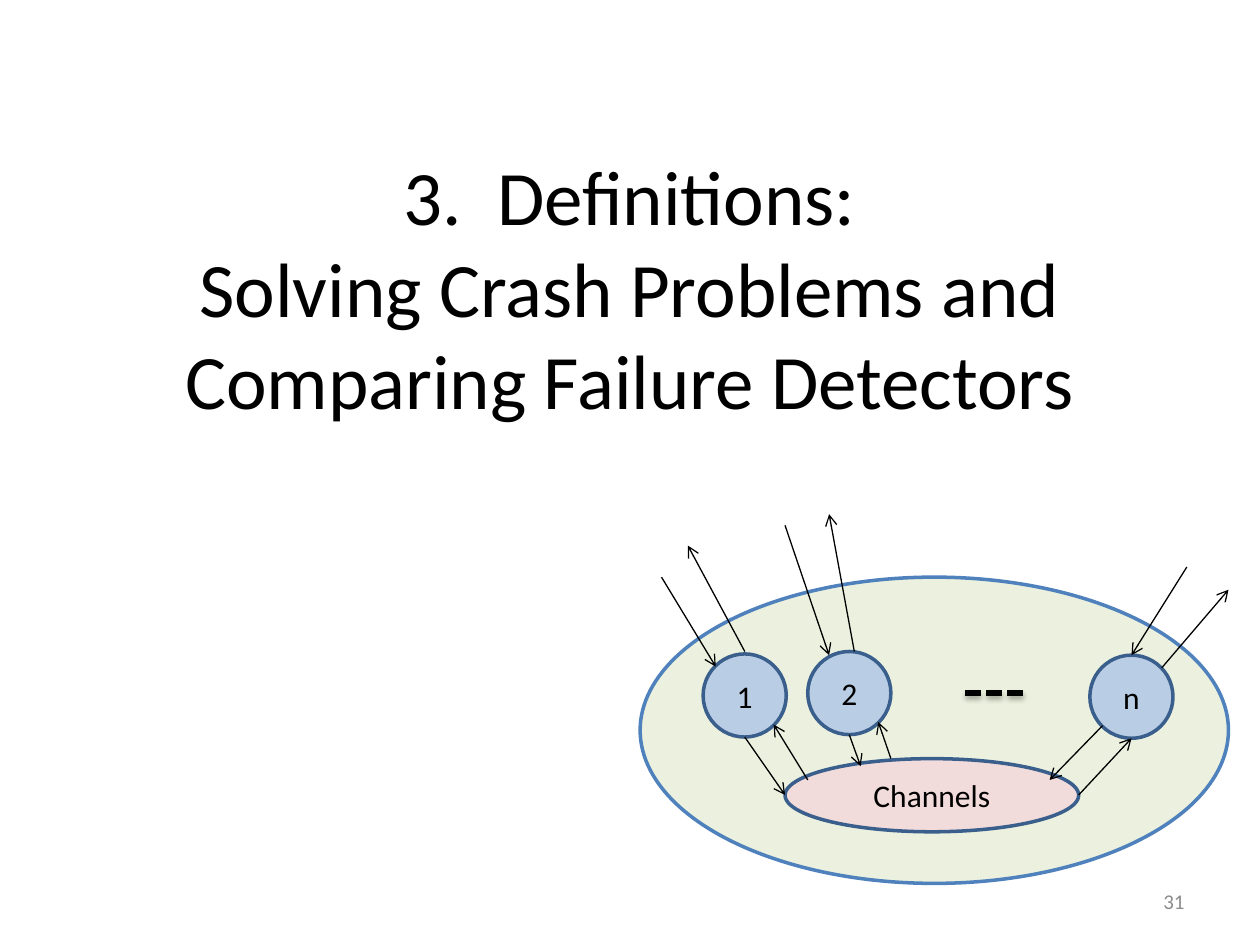
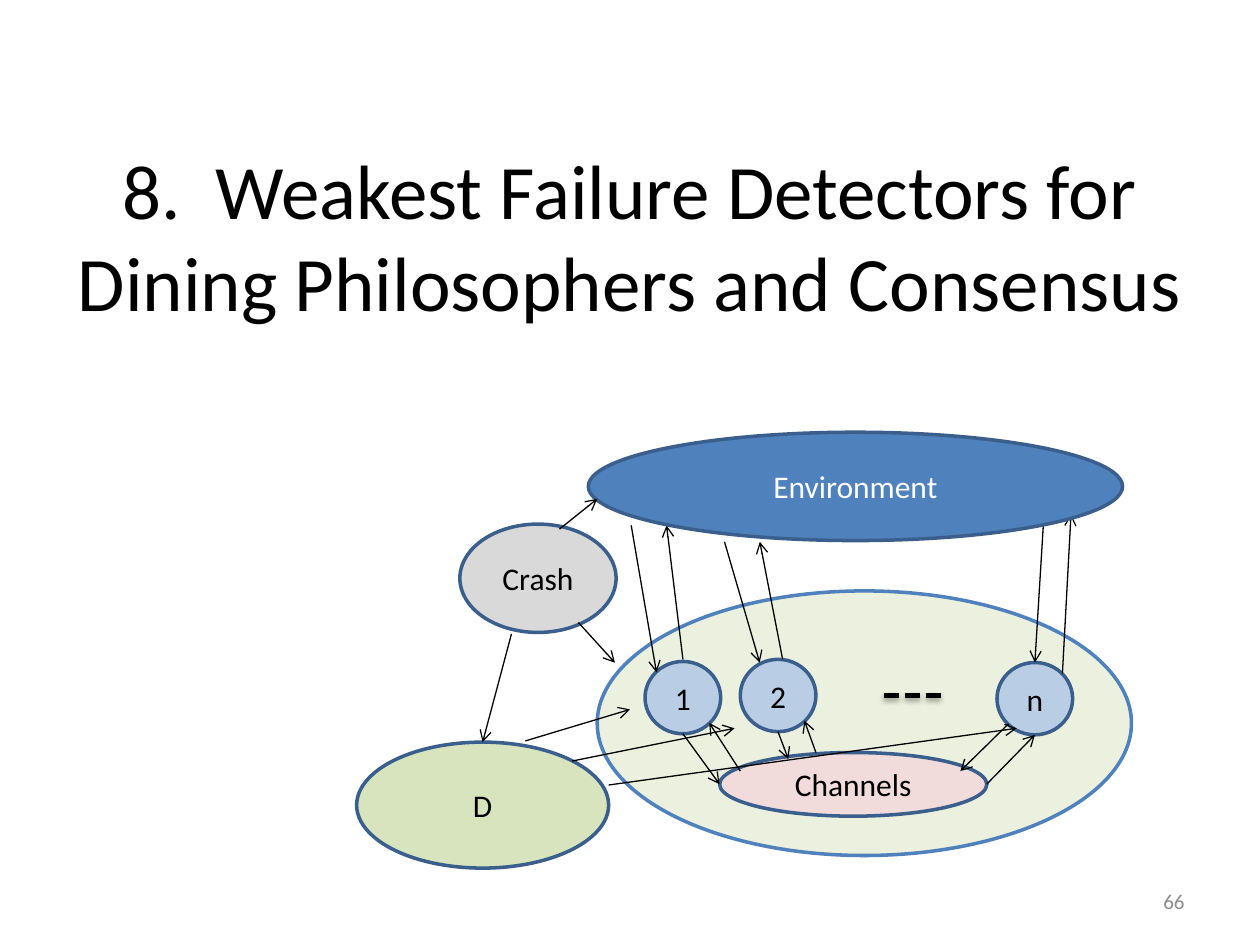
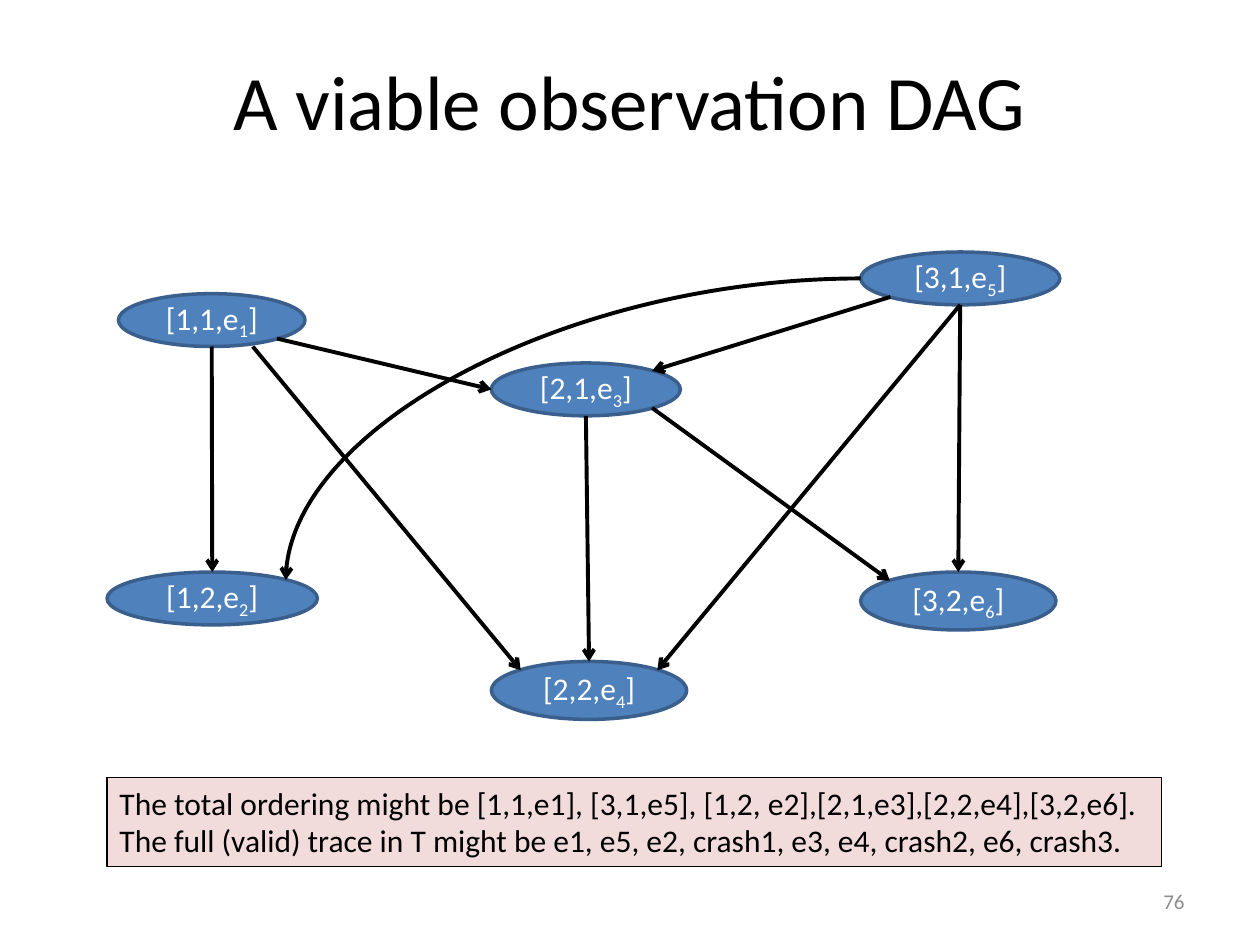
from typing import NamedTuple

from lxml import etree
from pptx import Presentation
from pptx.dml.color import RGBColor
from pptx.enum import dml, shapes, text
from pptx.oxml.ns import qn
from pptx.util import Pt

BLACK = RGBColor(0x00, 0x00, 0x00)
WHITE = RGBColor(0xFF, 0xFF, 0xFF)
GRAY = RGBColor(0x8C, 0x8C, 0x8C)
SILVER = RGBColor(0xD9, 0xD9, 0xD9)
BLUE = RGBColor(0x4F, 0x81, 0xBD)
NAVY = RGBColor(0x3A, 0x5F, 0x8C)
SKY = RGBColor(0xB9, 0xCD, 0xE5)
PINK = RGBColor(0xF2, 0xDC, 0xDB)
PALE = RGBColor(0xEB, 0xF1, 0xDE)
GREEN = RGBColor(0xD7, 0xE4, 0xBD)

FONT = "Calibri"
OVAL = shapes.MSO_SHAPE.OVAL
RECT = shapes.MSO_SHAPE.RECTANGLE
LEFT, CENTER, RIGHT = (text.PP_ALIGN.LEFT, text.PP_ALIGN.CENTER,
                       text.PP_ALIGN.RIGHT)
TOP, MIDDLE = text.MSO_ANCHOR.TOP, text.MSO_ANCHOR.MIDDLE
STRAIGHT = shapes.MSO_CONNECTOR.STRAIGHT
CURVE = shapes.MSO_CONNECTOR.CURVE


class Point(NamedTuple):
    x: float
    y: float


class Box(NamedTuple):
    x: float
    y: float
    w: float
    h: float


class Arrow(NamedTuple):
    start: Point
    end: Point


class Node(NamedTuple):
    label: str
    box: Box
    fill: RGBColor
    ink: RGBColor = BLACK


class Frame(NamedTuple):
    """Place and scale of a process system; node 1 is its origin."""
    x: float
    y: float
    sx: float = 1
    sy: float = 1

    def point(self, p: Point) -> Point:
        return Point(self.x + self.sx * p.x, self.y + self.sy * p.y)

    def box(self, b: Box) -> Box:
        return Box(*self.point(Point(b.x, b.y)), self.sx * b.w, self.sy * b.h)


def arrows(*rows: tuple[float, float, float, float]) -> list[Arrow]:
    return [Arrow(Point(a, b), Point(c, d)) for a, b, c, d in rows]


def points(*rows: tuple[float, float]) -> list[Point]:
    return [Point(*row) for row in rows]


def write(frame, words: str, *, size: float = 18, color: RGBColor = BLACK,
          align=CENTER, anchor=MIDDLE) -> None:
    """Newline starts a paragraph, | breaks a line, _ toggles subscript."""
    frame.word_wrap = True
    frame.vertical_anchor = anchor
    for i, line in enumerate(words.split("\n")):
        para = frame.paragraphs[0] if i == 0 else frame.add_paragraph()
        para.alignment = align
        for j, piece in enumerate(line.split("|")):
            if j:
                para.add_line_break()
            for k, part in enumerate(piece.split("_")):
                run = para.add_run()
                run.text = part
                run.font.name = FONT
                run.font.size = Pt(size)
                run.font.color.rgb = color
                if k % 2:
                    run.font._element.set("baseline", "-25000")


def label(slide, box: Box, words: str, **form) -> None:
    area = slide.shapes.add_textbox(*map(Pt, box))
    write(area.text_frame, words, **form)


def shape(slide, kind, box: Box, fill: RGBColor, line: RGBColor = NAVY,
          width: float = 2):
    item = slide.shapes.add_shape(kind, *map(Pt, box))
    item.shadow.inherit = False
    item.fill.solid()
    item.fill.fore_color.rgb = fill
    item.line.color.rgb = line
    item.line.width = Pt(width)
    return item


def oval(slide, node: Node) -> None:
    item = shape(slide, OVAL, node.box, node.fill)
    write(item.text_frame, node.label, color=node.ink)


def link(slide, start: Point, end: Point, width: float = 0.75,
         kind=STRAIGHT, head: bool = True):
    item = slide.shapes.add_connector(kind, *map(Pt, (*start, *end)))
    item.line.color.rgb = BLACK
    item.line.width = Pt(width)
    props = item._element.spPr
    if head:
        etree.SubElement(props.find(qn("a:ln")), qn("a:tailEnd"), type="arrow")
    if kind == CURVE:
        props.find(qn("a:prstGeom")).set("prst", "curvedConnector2")
    etree.SubElement(props, qn("a:effectLst"))
    return item


def dashes(slide, start: Point, end: Point) -> None:
    item = link(slide, start, end, 3, head=False)
    item.line.dash_style = dml.MSO_LINE.SQUARE_DOT
    glow = etree.SubElement(
        item._element.spPr.find(qn("a:effectLst")), qn("a:outerShdw"),
        blurRad=str(Pt(3.1)), dist=str(Pt(1.8)), dir="5400000",
        rotWithShape="0")
    shade = etree.SubElement(glow, qn("a:srgbClr"), val=str(BLACK))
    etree.SubElement(shade, qn("a:alpha"), val="35000")


def page(deck, title: str, box: Box, number: int):
    slide = deck.slides.add_slide(deck.slide_layouts[6])
    label(slide, box, title, size=44)
    label(slide, Box(516, 500.4, 168, 28.8), str(number), size=12,
          color=GRAY, align=RIGHT)
    return slide


SIDE = 47.5
PARTS = [
    Node("1", Box(0, 0, SIDE, SIDE), SKY),
    Node("2", Box(59.8, -1.4, SIDE, SIDE), SKY),
    Node("n", Box(221, 0.7, SIDE, SIDE), SKY),
    Node("Channels", Box(46.8, 59.8, 167.8, 41.8), PINK),
]
INNER = arrows(
    (23.8, 47.5, 46.8, 80.6), (59.8, 72, 40.3, 40.3),
    (83.5, 46.1, 90, 64.1), (107.3, 59.8, 100.1, 38.9),
    (228.2, 41, 198, 72), (214.6, 80.6, 244.8, 48.2))
DOTS = Arrow(Point(149.8, 22.3), Point(185.8, 22.3))
ENTRY = points((7.2, 7.2), (72, 0.7), (244.8, 0.7))
EXIT = points((23.8, -1.4), (86.4, -1.4), (262.1, 7.9))


def system(slide, frame: Frame, hull: Box, inputs: list[Point],
           outputs: list[Point]) -> None:
    """Draw processes and channels, with arrows to and from outside."""
    shape(slide, OVAL, hull, PALE, BLUE)
    for part in PARTS:
        oval(slide, part._replace(box=frame.box(part.box)))
    for arrow in INNER:
        link(slide, *map(frame.point, arrow))
    dashes(slide, *map(frame.point, DOTS))
    for tip, port in zip(inputs, ENTRY):
        link(slide, tip, frame.point(port))
    for tip, port in zip(outputs, EXIT):
        link(slide, frame.point(port), tip)


def crash(deck) -> None:
    slide = page(deck, "3.  Definitions:|Solving Crash Problems and "
                 "Comparing Failure Detectors",
                 Box(30, 21.6, 660, 284.4), 31)
    system(slide, Frame(401.8, 373.7), Box(365.8, 329.8, 336.2, 175),
           points((378, 329.8), (448.6, 300.2), (678.2, 324)),
           points((393.1, 311.8), (473.8, 293.8), (702, 337)))


def weakest(deck) -> None:
    slide = page(deck, "8.  Weakest Failure Detectors for Dining "
                 "Philosophers and Consensus", Box(36, 21.6, 648, 225.4), 66)
    system(slide, Frame(368.6, 378, 0.91, 0.87),
           Box(341.3, 337.7, 305.3, 151.2),
           points((360.7, 300.2), (414, 309.6), (596.2, 300.2)),
           points((380.9, 300.2), (434.2, 309.6), (612, 293.8)))
    for node in (
            Node("Environment", Box(336.2, 247, 305.3, 61.9), BLUE, WHITE),
            Node("Crash", Box(262.8, 299.5, 89.3, 61.9), SILVER),
            Node("D", Box(203.8, 424.1, 144, 72), GREEN)):
        oval(slide, node)
    for arrow in arrows(
            (330.5, 355.7, 351.4, 378.7), (319.7, 302.4, 341.3, 285.1),
            (300.2, 423.4, 360, 405.4), (326.9, 434.9, 419.8, 416.2),
            (347.8, 448.6, 581, 416.2), (292.3, 362.2, 275.8, 424.1)):
        link(slide, *arrow)


EVENTS = {
    "11": Node("[1,1,e_1_]", Box(67.7, 167.8, 106.6, 30.2), BLUE, WHITE),
    "21": Node("[2,1,e_3_]", Box(280.8, 207.4, 108, 30.2), BLUE, WHITE),
    "31": Node("[3,1,e_5_]", Box(491.8, 144, 113.8, 30.2), BLUE, WHITE),
    "22": Node("[2,2,e_4_]", Box(280.8, 378, 111.6, 33.1), BLUE, WHITE),
    "12": Node("[1,2,e_2_]", Box(61.2, 326.9, 120.2, 30.2), BLUE, WHITE),
    "32": Node("[3,2,e_6_]", Box(491.8, 326.9, 111.6, 33.1), BLUE, WHITE),
}
NEAR, FAR = 0.15, 0.85
SITES = {
    "n": (0.5, 0), "s": (0.5, 1), "w": (0, 0.5), "nw": (NEAR, NEAR),
    "ne": (FAR, NEAR), "sw": (NEAR, FAR), "se": (FAR, FAR),
    "sse": (0.72, 1),
}
EDGES = [
    ("11", "se", "21", "w"), ("11", "s", "12", "n"),
    ("11", "sse", "22", "nw"), ("21", "s", "22", "n"),
    ("31", "sw", "21", "ne"), ("31", "s", "32", "n"),
    ("31", "s", "22", "ne"), ("21", "se", "32", "nw"),
]


def site(name: str, side: str) -> Point:
    """Point on the rim of an event, by compass direction."""
    box = EVENTS[name].box
    fx, fy = SITES[side]
    return Point(box.x + fx * box.w, box.y + fy * box.h)


def viable(deck) -> None:
    slide = page(deck, "A viable observation DAG",
                 Box(36, 12.2, 648, 90), 76)
    for node in EVENTS.values():
        oval(slide, node)
    for tail, out, head, into in EDGES:
        link(slide, site(tail, out), site(head, into), 2.25)
    link(slide, site("31", "w"), site("12", "ne"), 2.25, CURVE)
    note = shape(slide, RECT, Box(61.2, 444.2, 602.6, 51.1), PINK, BLACK, 0.75)
    write(note.text_frame,
          "The total ordering might be [1,1,e1], [3,1,e5], [1,2, e2],"
          "[2,1,e3],[2,2,e4],[3,2,e6].\n"
          "The full (valid) trace in T might be e1, e5, e2, crash1, e3, e4, "
          "crash2, e6, crash3.", align=LEFT, anchor=TOP)


def main() -> None:
    deck = Presentation()
    deck.slide_width, deck.slide_height = Pt(720), Pt(540)
    for build in (crash, weakest, viable):
        build(deck)
    deck.save("out.pptx")


if __name__ == "__main__":
    main()
